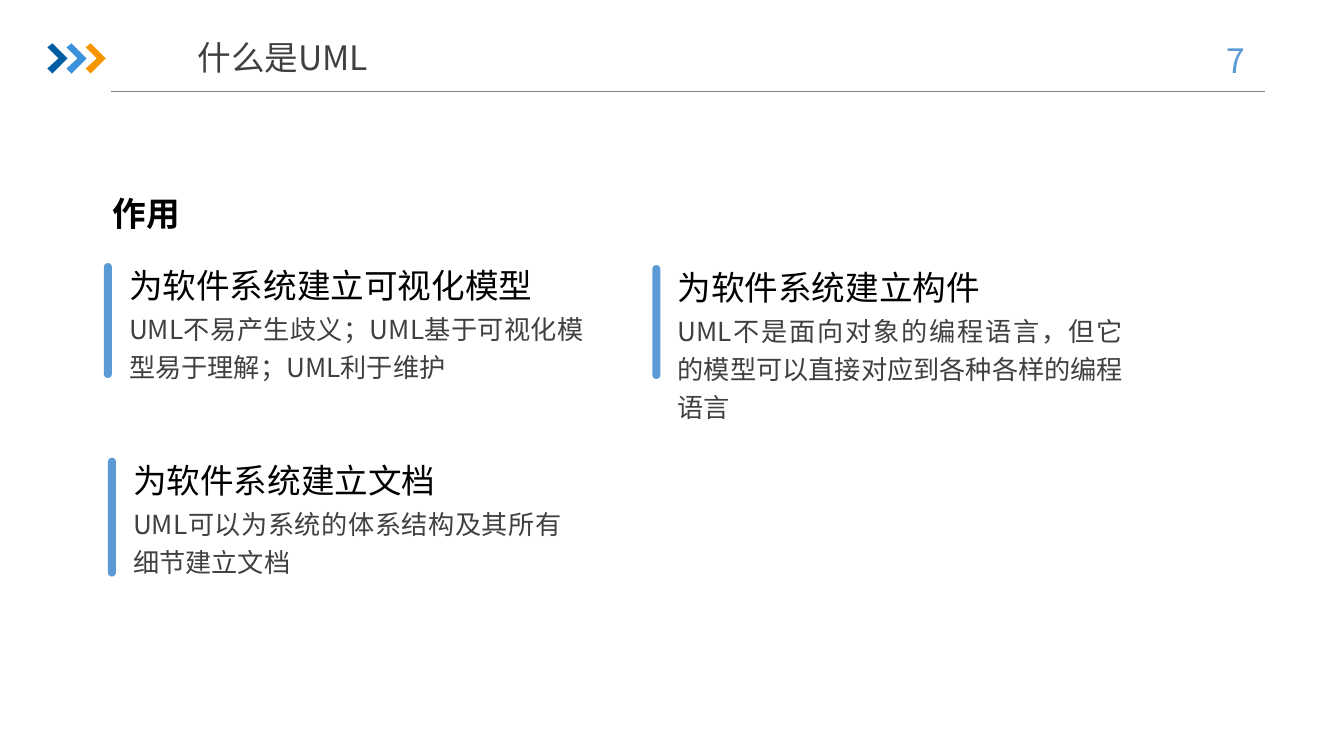
from lxml.etree import SubElement
from pptx import Presentation
from pptx.dml.color import RGBColor
from pptx.enum.shapes import MSO_CONNECTOR, MSO_SHAPE
from pptx.enum.text import MSO_ANCHOR, MSO_AUTO_SIZE, PP_ALIGN
from pptx.oxml.ns import qn
from pptx.util import Inches, Pt

BLACK = RGBColor(0x00, 0x00, 0x00)
DARK_GRAY = RGBColor(0x40, 0x40, 0x40)
RULE_GRAY = RGBColor(0x80, 0x80, 0x80)
ACCENT = RGBColor(0x5B, 0x9B, 0xD5)
CHEVRON_COLORS = (RGBColor(0x00, 0x5D, 0xA2), RGBColor(0x39, 0x92, 0xDB),
                  RGBColor(0xF7, 0x96, 0x00))
CJK_FONT = "Noto Sans CJK SC"
LATIN_FONT = "Calibri"

CHEVRON = ((0, 0.04), (0.05, 0), (0.2, 0.15), (0.05, 0.3), (0, 0.25), (0.11, 0.15))

# bar left, bar top, bar height, body width, body height, heading, body
ROLES = (
    (1.03, 2.61, 1.14, 4.61, 0.77, "为软件系统建立可视化模型",
     "UML不易产生歧义；UML基于可视化模型易于理解；UML利于维护"),
    (6.47, 2.63, 1.13, 4.52, 1.15, "为软件系统建立构件",
     "UML不是面向对象的编程语言，但它的模型可以直接对应到各种各样的编程语言"),
    (1.07, 4.54, 1.18, 4.35, 0.77, "为软件系统建立文档",
     "UML可以为系统的体系结构及其所有细节建立文档"),
)


class SlideBuilder:
    STYLES = {
        "title": {"name": CJK_FONT, "size": Pt(24), "color": DARK_GRAY},
        "number": {"name": CJK_FONT, "size": Pt(24), "color": ACCENT},
        "section": {"name": LATIN_FONT, "size": Pt(24), "color": BLACK, "bold": True},
        "heading": {"name": LATIN_FONT, "size": Pt(24), "color": BLACK},
        "body": {"name": CJK_FONT, "size": Pt(18.7), "color": DARK_GRAY},
    }

    def __init__(self, presentation):
        self.slide = presentation.slides.add_slide(presentation.slide_layouts[5])
        self.shapes = self.slide.shapes

    def set_text(self, holder, text, style, align=PP_ALIGN.LEFT, spacing=1.0,
                 insets=(0.1, 0.05), wrap=True, anchor=MSO_ANCHOR.TOP):
        frame = holder.text_frame
        across, down = (Inches(inset) for inset in insets)
        frame_format = {
            "margin_left": across, "margin_right": across,
            "margin_top": down, "margin_bottom": down,
            "word_wrap": wrap, "vertical_anchor": anchor,
            "auto_size": MSO_AUTO_SIZE.NONE,
        }
        for attribute, value in frame_format.items():
            setattr(frame, attribute, value)
        paragraph = frame.paragraphs[0]
        paragraph.alignment = align
        paragraph.line_spacing = spacing
        run = paragraph.add_run()
        run.text = text
        for attribute, value in self.STYLES[style].items():
            if attribute == "color":
                run.font.color.rgb = value
            else:
                setattr(run.font, attribute, value)
        SubElement(run.font._element, qn("a:ea"), typeface=CJK_FONT)

    def title(self, text, left, top, width, height):
        holder = self.shapes.title
        place = {"left": left, "top": top, "width": width, "height": height}
        for attribute, value in place.items():
            setattr(holder, attribute, Inches(value))
        self.set_text(holder, text, "title", PP_ALIGN.CENTER,
                      insets=(0, 0.05), anchor=MSO_ANCHOR.MIDDLE)

    def text(self, text, style, left, top, width, height, **layout):
        box = self.shapes.add_textbox(*map(Inches, (left, top, width, height)))
        self.set_text(box, text, style, **layout)

    def rule(self, left, right, y):
        line = self.shapes.add_connector(
            MSO_CONNECTOR.STRAIGHT, *map(Inches, (left, y, right, y)))
        line.line.color.rgb = RULE_GRAY
        line.line.width = Pt(0.5)
        SubElement(line._element.spPr, qn("a:effectLst"))

    def fill(self, shape, color):
        shape.shadow.inherit = False
        shape.fill.solid()
        shape.fill.fore_color.rgb = color
        shape.line.fill.background()

    def chevron(self, left, top, color):
        start, *corners = [(Inches(left + x), Inches(top + y)) for x, y in CHEVRON]
        outline = self.shapes.build_freeform(*start)
        outline.add_line_segments(corners, close=True)
        self.fill(outline.convert_to_shape(), color)

    def bar(self, left, top, height):
        bar = self.shapes.add_shape(MSO_SHAPE.ROUND_2_SAME_RECTANGLE,
                                    *map(Inches, (left, top, 0.08, height)))
        bar.adjustments[0] = bar.adjustments[1] = 0.5
        self.fill(bar, ACCENT)

    def role(self, left, top, bar_height, width, body_height, heading, body):
        """Add an accent bar with a heading and a justified explanation beside it."""
        self.bar(left, top, bar_height)
        text_left = left + 0.2
        insets = (0.05, 0.03)
        self.text(body, "body", text_left, top + 0.41, width, body_height,
                  align=PP_ALIGN.JUSTIFY, spacing=1.2, insets=insets)
        self.text(heading, "heading", text_left, top - 0.01,
                  len(heading) / 3 + 0.12, 0.45, insets=insets, wrap=False)


def main():
    presentation = Presentation()
    presentation.slide_width = Inches(13.33)
    presentation.slide_height = Inches(7.5)
    builder = SlideBuilder(presentation)
    builder.rule(1.1, 12.55, 0.91)
    for index, color in enumerate(CHEVRON_COLORS):
        builder.chevron(0.47 + index * 0.19, 0.43, color)
    builder.title("什么是UML", 1.25, 0.29, 3.11, 0.55)
    builder.text("7", "number", 11.77, 0.35, 0.98, 0.5, align=PP_ALIGN.CENTER)
    builder.text("作用", "section", 1.02, 1.86, 10.92, 0.5)
    for role in ROLES:
        builder.role(*role)
    presentation.save("out.pptx")


if __name__ == "__main__":
    main()
